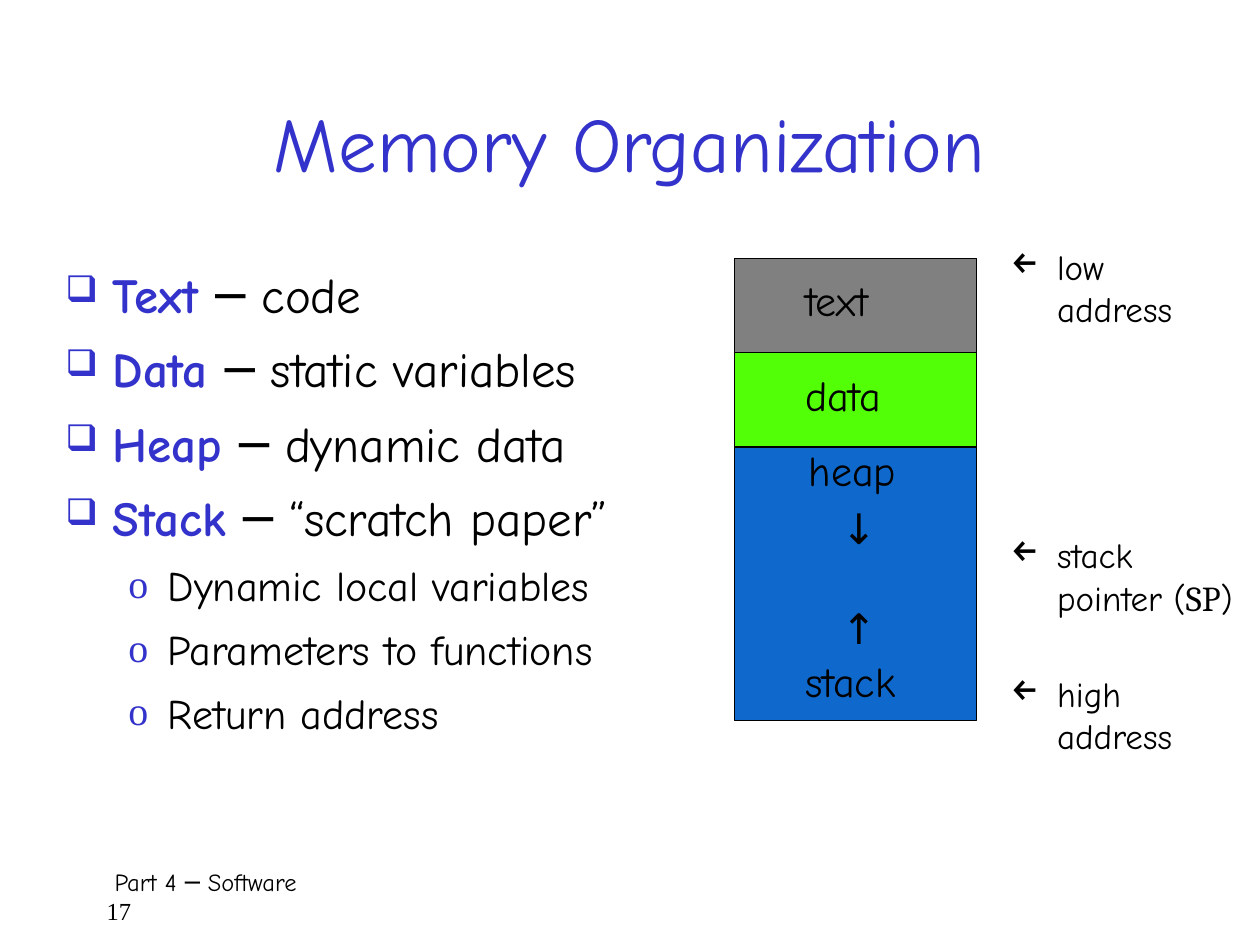
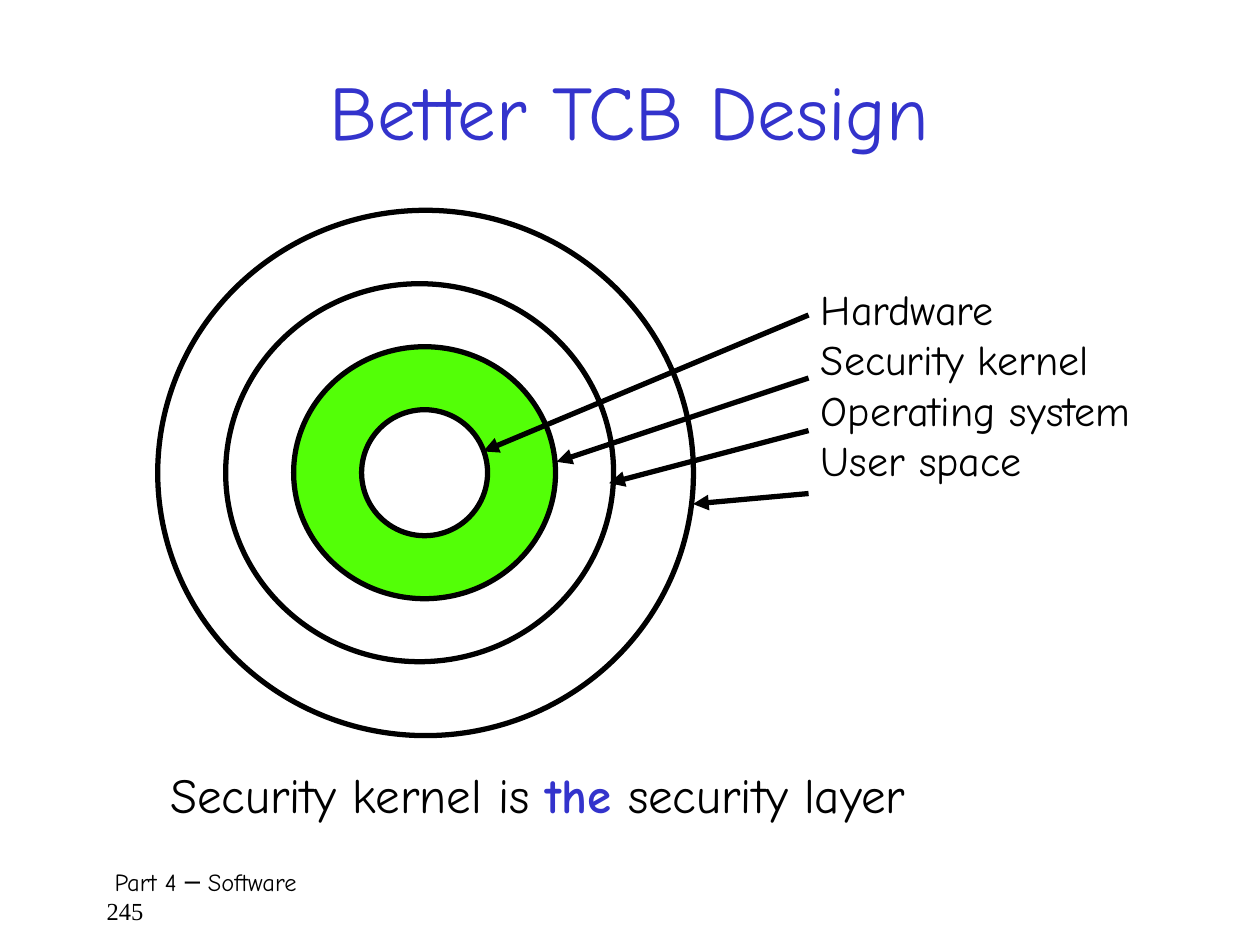
from dataclasses import dataclass

from lxml.etree import SubElement
from pptx import Presentation
from pptx.dml.color import RGBColor
from pptx.enum.shapes import MSO_CONNECTOR, MSO_SHAPE
from pptx.enum.text import MSO_ANCHOR, PP_ALIGN
from pptx.oxml.ns import qn
from pptx.util import Cm, Pt


@dataclass(frozen=True)
class Theme:
    font: str = "Comic Neue"
    number_font: str = "Times New Roman"
    register_font: str = "Cambria"
    accent: str = "3333CC"
    ink: str = "000000"
    paper: str = "FFFFFF"
    gray: str = "808080"
    green: str = "53FF07"
    blue: str = "0F69CC"
    title_size: int = 44
    body_size: int = 28
    label_size: int = 24
    note_size: int = 20
    footer_size: int = 14


THEME = Theme()


# Text helpers
def set_font(font, size, color=THEME.ink, name=THEME.font):
    font.size = Pt(size)
    font.name = name
    font.bold = False
    font.color.rgb = RGBColor.from_string(color)


def add_box(page, left, top, width, height):
    box = page.shapes.add_textbox(Cm(left), Cm(top), Cm(width), Cm(height))
    box.text_frame.word_wrap = True
    return box.text_frame


def add_para(frame, text, size, **font_options):
    first = frame.paragraphs[0]
    para = frame.add_paragraph() if first.runs else first
    if text:
        para.add_run().text = text
    set_font(para.font, size, **font_options)
    return para


def add_strong(para, text):
    span = para.add_run()
    span.text = text
    span.font.bold = True
    span.font.color.rgb = RGBColor.from_string(THEME.accent)


def set_indent(para, margin, hanging=0):
    properties = para._p.get_or_add_pPr()
    properties.set("marL", str(Cm(margin)))
    properties.set("indent", str(-Cm(hanging)))
    return properties


def set_bullet(para, symbol, margin, hanging, color, percent, font=None):
    properties = set_indent(para, margin, hanging)
    defaults = properties.find(qn("a:defRPr"))
    fill = SubElement(properties, qn("a:buClr"))
    SubElement(fill, qn("a:srgbClr"), val=color)
    SubElement(properties, qn("a:buSzPct"), val=str(percent * 1000))
    if font:
        SubElement(properties, qn("a:buFont"), typeface=font)
    SubElement(properties, qn("a:buChar"), char=symbol)
    properties.append(defaults)  # the schema wants default fonts last


def add_label(page, text, left, top, width=3.3):
    add_para(add_box(page, left, top, width, 1.45), text, THEME.label_size)


# Shape helpers
def add_figure(page, kind, area, fill, line_width):
    figure = page.shapes.add_shape(kind, *map(Cm, area))
    figure.shadow.inherit = False
    figure.fill.solid()
    figure.fill.fore_color.rgb = RGBColor.from_string(fill)
    figure.line.color.rgb = RGBColor.from_string(THEME.ink)
    figure.line.width = Pt(line_width)


def add_arrow(page, start, end):
    arrow = page.shapes.add_connector(MSO_CONNECTOR.STRAIGHT, *map(Cm, start + end))
    arrow.line.color.rgb = RGBColor.from_string(THEME.ink)
    arrow.line.width = Pt(3)
    SubElement(arrow.line._get_or_add_ln(), qn("a:tailEnd"), type="triangle")
    SubElement(arrow._element.spPr, qn("a:effectLst"))


# Shared page parts
def add_page(deck, title, number, title_top, title_height):
    page = deck.slides.add_slide(deck.slide_layouts[6])
    frame = add_box(page, 1.9, title_top, 21.59, title_height)
    frame.vertical_anchor = MSO_ANCHOR.MIDDLE
    para = add_para(frame, title, THEME.title_size, color=THEME.accent)
    para.alignment = PP_ALIGN.CENTER

    footer = add_box(page, 1.9, 17.35, 21.8, 1.27)
    set_indent(add_para(footer, "Part 4 ─ Software", THEME.footer_size), 0.16)
    add_para(footer, str(number), THEME.footer_size, name=THEME.number_font)
    return page


# Memory page
def add_segments(page):
    frame = add_box(page, 1.07, 5.08, 13.34, 11.86)
    segments = [("Text", "code"), ("Data", "static variables"),
                ("Heap", "dynamic data"), ("Stack", "“scratch paper”")]
    for name, meaning in segments:
        para = add_para(frame, "", THEME.body_size)
        add_strong(para, name + " ")
        para.add_run().text = "─ " + meaning
        set_bullet(para, "❑", 0.95, 0.95, THEME.accent, 75)
    for use in ("Dynamic local variables", "Parameters to functions", "Return address"):
        para = add_para(frame, use, THEME.label_size)
        para.level = 1
        set_bullet(para, "o", 2.06, 0.79, THEME.accent, 95, THEME.number_font)
    for para in frame.paragraphs:
        para.line_spacing = 1.1
        para.space_before = Pt(para.font.size.pt * 0.2)


def add_memory_map(page):
    top = 5.21
    for height, fill in ((1.9, THEME.gray), (1.9, THEME.green), (5.51, THEME.blue)):
        add_figure(page, MSO_SHAPE.RECTANGLE, (14.81, top, 4.88, height), fill, 0.75)
        top += height
    for text, left, label_top in (("text", 15.98, 5.41), ("data", 15.98, 7.32),
                                  ("heap", 16.05, 8.84), ("stack", 15.98, 13.08),
                                  ("↓", 16.71, 10.01), ("↑", 16.71, 12.03)):
        add_label(page, text, left, label_top)


def add_address_note(page, top, first, second, register=""):
    frame = add_box(page, 20.12, top, 5.28, 2.24)
    para = add_para(frame, first, THEME.note_size)
    set_bullet(para, "←", 0.94, 0.94, THEME.ink, 100)
    para = add_para(frame, second, THEME.note_size)
    set_indent(para, 0.94)
    if register:
        para.add_run().text = " ("
        span = para.add_run()
        span.text = register
        span.font.name = THEME.register_font
        para.add_run().text = ")"


def build_memory_page(deck):
    page = add_page(deck, "Memory Organization", 17, 1.27, 3.18)
    add_segments(page)
    add_memory_map(page)
    add_address_note(page, 4.83, "low", "address")
    add_address_note(page, 10.64, "stack", "pointer", "SP")
    add_address_note(page, 13.44, "high", "address")


# Trusted computing base page
def build_tcb_page(deck):
    page = add_page(deck, "Better TCB Design", 245, 0.84, 2.74)

    # Rings, from user space in to hardware
    rings = [((3.18, 4.24, 10.8, 10.59), THEME.paper),
             ((4.55, 5.72, 7.82, 7.62), THEME.paper),
             ((5.92, 6.99, 5.28, 5.08), THEME.green),
             ((7.29, 8.26, 2.54, 2.54), THEME.paper)]
    for area, fill in rings:
        add_figure(page, MSO_SHAPE.OVAL, area, fill, 3)

    # Layer names and their arrows
    layers = [("Hardware", 6.35, (9.74, 9.1)),
              ("Security kernel", 7.62, (11.22, 9.31)),
              ("Operating system", 8.68, (12.28, 9.74)),
              ("User space", 9.95, (13.97, 10.16))]
    names = add_box(page, 16.3, 5.59, 8.4, 4.98)
    for name, arrow_top, tip in layers:
        add_para(names, name, THEME.label_size)
        add_arrow(page, (16.3, arrow_top), tip)

    # Conclusion
    para = add_para(add_box(page, 3.18, 15.29, 17.27, 1.63),
                    "Security kernel is ", THEME.body_size)
    add_strong(para, "the")
    para.add_run().text = " security layer"


def main():
    deck = Presentation()
    deck.slide_width = Cm(25.4)
    deck.slide_height = Cm(19.05)
    build_memory_page(deck)
    build_tcb_page(deck)
    deck.save("out.pptx")


if __name__ == "__main__":
    main()
